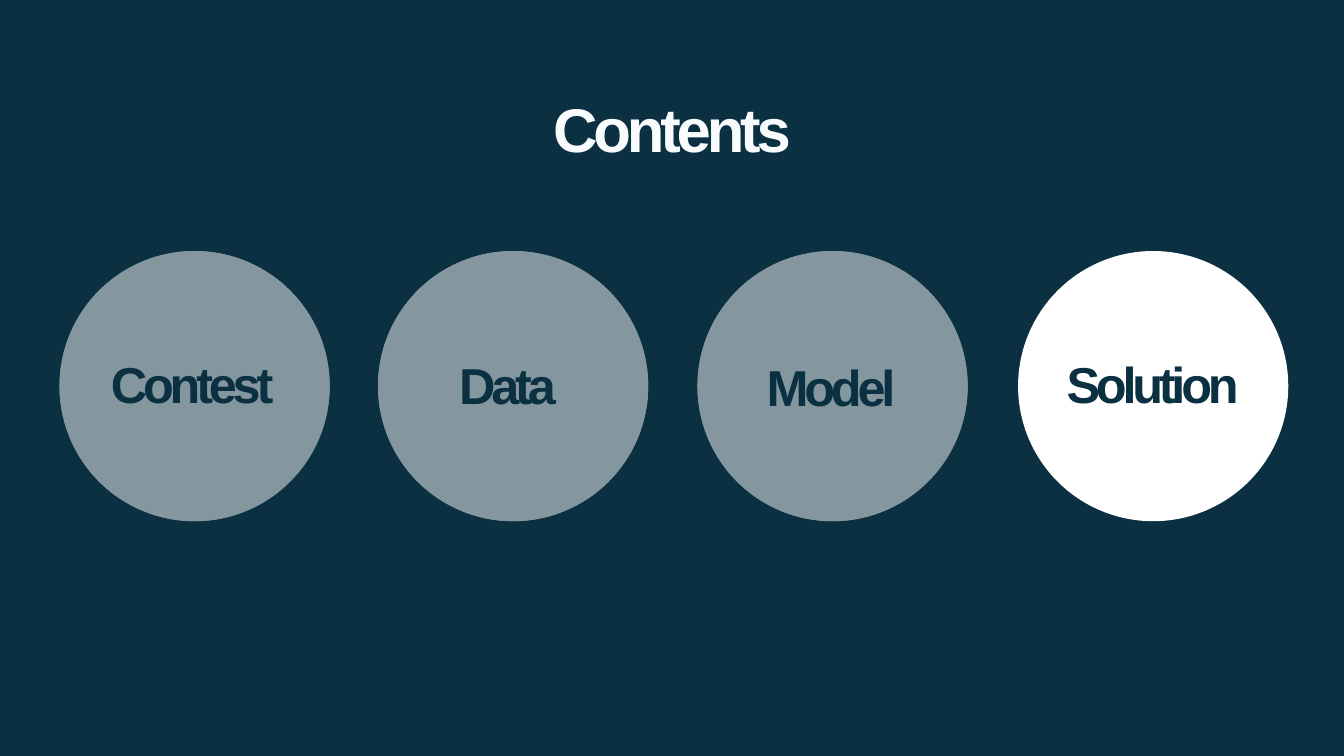
from lxml import etree
from pptx import Presentation
from pptx.dml.color import RGBColor as RGB
from pptx.enum.shapes import MSO_SHAPE as Shape
from pptx.enum.text import MSO_AUTO_SIZE as Fit, PP_ALIGN as Align
from pptx.oxml.ns import qn
from pptx.util import Pt

# Content: name, disc left, label left, label top, dimmed
TITLE = "Contents"
TOPICS = [
    ("Contest", 42.5, 63.4, 248.4, True),
    ("Data", 270, 288.7, 249.1, True),
    ("Model", 498.2, 519.8, 250.6, True),
    ("Solution", 727.2, 749.5, 248.4, False),
]
HEX = {"navy": "0B3041", "white": "FFFFFF", "title": "F9FCFD"}
FONT = "Arial"
TIGHT = -3
DISC_TOP, DISC = 179.3, 193
LABEL_W, LABEL_H = 147.6, 51.1

deck = Presentation()
deck.slide_width, deck.slide_height = Pt(960), Pt(540)
slide = deck.slides.add_slide(deck.slide_layouts[6])
slide.background.fill.solid()
slide.background.fill.fore_color.rgb = RGB.from_string(HEX["navy"])


def add_disc(left, color, alpha=None):
    disc = slide.shapes.add_shape(
        Shape.OVAL, Pt(left), Pt(DISC_TOP), Pt(DISC), Pt(DISC))
    disc.shadow.inherit = False
    disc.line.fill.background()
    disc.fill.solid()
    disc.fill.fore_color.rgb = RGB.from_string(HEX[color])
    if alpha is not None:
        tint = disc.fill._xPr.find(qn("a:solidFill"))[0]
        etree.SubElement(tint, qn("a:alpha"), val=str(alpha * 1000))


def add_text(text, left, top, width, height, size, color):
    box = slide.shapes.add_textbox(Pt(left), Pt(top), Pt(width), Pt(height))
    frame = box.text_frame
    frame.word_wrap = True
    frame.auto_size = Fit.SHAPE_TO_FIT_TEXT
    para = frame.paragraphs[0]
    para.alignment = Align.CENTER
    run = para.add_run()
    run.text = text
    font = para.font
    font.name, font.size, font.bold = FONT, Pt(size), True
    font.color.rgb = RGB.from_string(HEX[color])
    # Letter spacing in hundredths of a point
    run.font._element.set("spc", str(TIGHT * 100))


# Title
add_text(TITLE, 288, 61.2, 384, 60.5, 44, "title")

# White discs, then their labels
for name, left, *rest in TOPICS:
    add_disc(left, "white")
for name, left, x, y, dim in TOPICS:
    add_text(name, x, y, LABEL_W, LABEL_H, 36, "navy")

# Veils over the dimmed topics
for name, left, x, y, dim in TOPICS:
    if dim:
        add_disc(left, "navy", 50)

deck.save("out.pptx")
